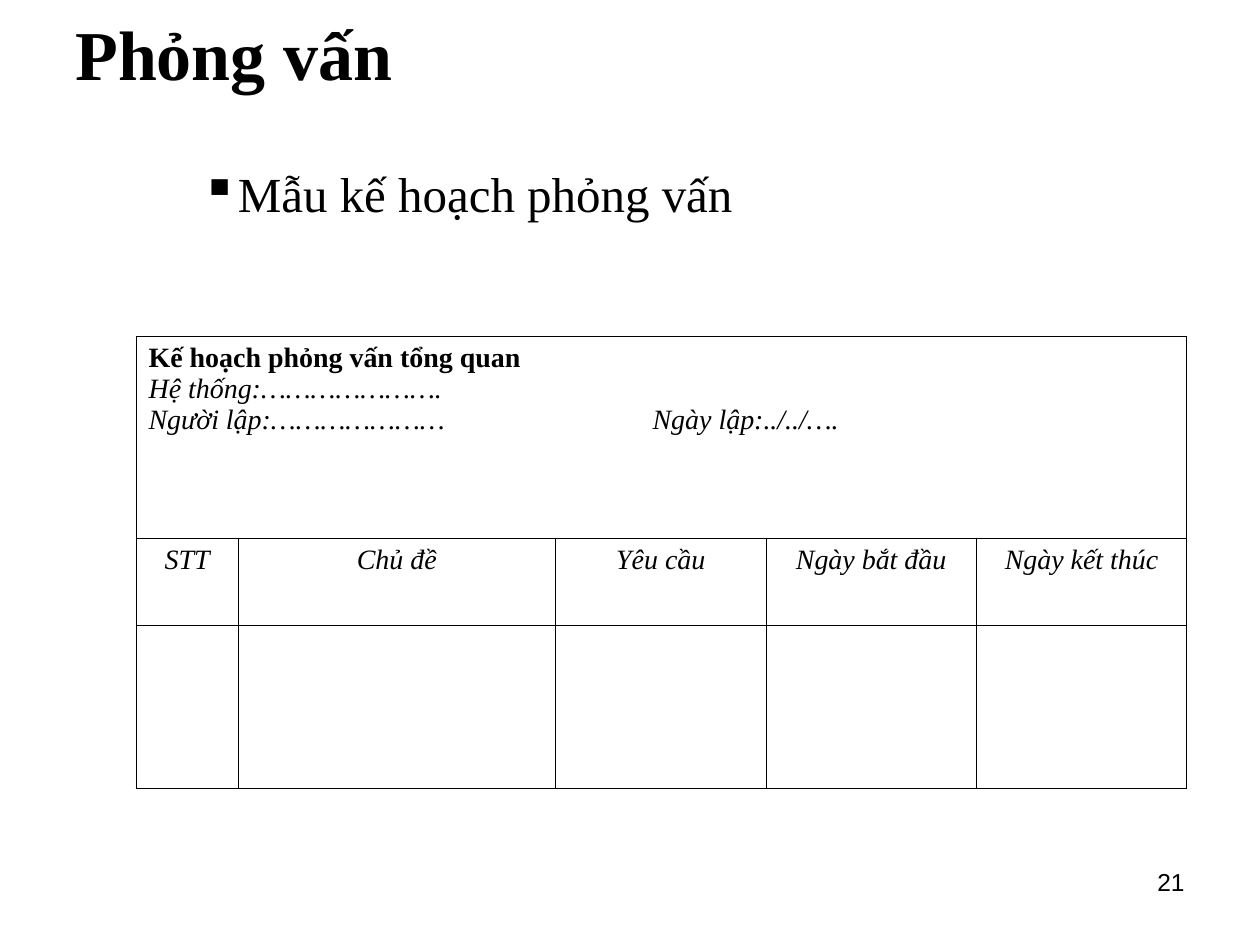
from lxml import etree
from pptx import Presentation
from pptx.dml.color import RGBColor
from pptx.enum.text import MSO_ANCHOR, PP_ALIGN
from pptx.oxml.ns import qn
from pptx.util import Inches, Pt

BLACK = RGBColor(0, 0, 0)
SERIF = "Times New Roman"
SANS = "Arial"
LEFT, CENTER, RIGHT, JUSTIFY = (
    PP_ALIGN.LEFT, PP_ALIGN.CENTER, PP_ALIGN.RIGHT, PP_ALIGN.JUSTIFY)
TOP, MIDDLE = MSO_ANCHOR.TOP, MSO_ANCHOR.MIDDLE

BORDER_WIDTH = Pt(0.45)
COLUMN_WIDTHS = (0.81, 2.52, 1.67, 1.67, 1.67)
ROW_HEIGHTS = (1.6, 0.69, 1.3)
PLAN_LINES = (
    "Kế hoạch phỏng vấn tổng quan",
    "Hệ thống:………………….",
    "Người lập:…………………\t\tNgày lập:../../….",
)
HEADINGS = ("STT", "Chủ đề", "Yêu cầu", "Ngày bắt đầu", "Ngày kết thúc")


def style_paragraph(paragraph, size, alignment, name=SERIF, bold=False, italic=False):
    paragraph.alignment = alignment
    font = paragraph.font
    font.name, font.size = name, Pt(size)
    font.bold, font.italic = bold, italic
    font.color.rgb = BLACK


def add_text(slide, text, left, top, width, height, anchor=TOP):
    """Add a one-paragraph text box and return its paragraph."""
    box = slide.shapes.add_textbox(
        Inches(left), Inches(top), Inches(width), Inches(height))
    frame = box.text_frame
    frame.word_wrap = True
    frame.vertical_anchor = anchor
    paragraph = frame.paragraphs[0]
    paragraph.text = text
    return paragraph


def add_bullet(paragraph, character, margin, indent):
    properties = paragraph._p.get_or_add_pPr()
    properties.set("marL", str(Inches(margin)))
    properties.set("indent", str(Inches(indent)))
    color = etree.SubElement(properties, qn("a:buClr"))
    etree.SubElement(color, qn("a:srgbClr"), val=str(BLACK))
    etree.SubElement(properties, qn("a:buChar"), char=character)


def add_tab_stops(paragraph, positions):
    tab_list = etree.SubElement(paragraph._p.get_or_add_pPr(), qn("a:tabLst"))
    for position in positions:
        etree.SubElement(tab_list, qn("a:tab"), pos=str(Inches(position)), algn="l")


def style_cell(cell):
    """Give the cell four thin black borders and no fill."""
    properties = cell._tc.get_or_add_tcPr()
    for side in ("a:lnL", "a:lnR", "a:lnT", "a:lnB"):
        line = etree.SubElement(properties, qn(side), w=str(BORDER_WIDTH))
        fill = etree.SubElement(line, qn("a:solidFill"))
        etree.SubElement(fill, qn("a:srgbClr"), val=str(BLACK))
    cell.fill.background()


def add_plan_table(slide):
    table = slide.shapes.add_table(
        len(ROW_HEIGHTS), len(COLUMN_WIDTHS), Inches(1.08), Inches(2.67),
        Inches(sum(COLUMN_WIDTHS)), Inches(sum(ROW_HEIGHTS))).table
    table.first_row = table.horz_banding = False
    for column, width in zip(table.columns, COLUMN_WIDTHS):
        column.width = Inches(width)
    for row, height in zip(table.rows, ROW_HEIGHTS):
        row.height = Inches(height)
    for cell in table.iter_cells():
        style_cell(cell)

    plan_cell = table.cell(0, 0)
    plan_cell.merge(table.cell(0, len(COLUMN_WIDTHS) - 1))
    plan_cell.text = "\n".join(PLAN_LINES)
    for index, paragraph in enumerate(plan_cell.text_frame.paragraphs):
        add_tab_stops(paragraph, (3, 4))
        style_paragraph(paragraph, 16, JUSTIFY, bold=index == 0, italic=index > 0)

    for index, heading in enumerate(HEADINGS):
        cell = table.cell(1, index)
        cell.text = heading
        style_paragraph(cell.text_frame.paragraphs[0], 16, CENTER, italic=True)


def main():
    presentation = Presentation()
    presentation.slide_width, presentation.slide_height = Inches(10), Inches(7.5)
    slide = presentation.slides.add_slide(presentation.slide_layouts[6])

    page_number = add_text(slide, "21", 7.17, 6.83, 2.33, 0.52)
    style_paragraph(page_number, 14, RIGHT, name=SANS)
    title = add_text(slide, "Phỏng vấn", 0.5, 0.3, 9, 0.24, MIDDLE)
    style_paragraph(title, 40, LEFT, bold=True)
    topic = add_text(slide, "Mẫu kế hoạch phỏng vấn", 0.5, 1.25, 9, 1.25)
    add_bullet(topic, "▪", 1.25, -0.25)
    style_paragraph(topic, 28, JUSTIFY)
    add_plan_table(slide)

    presentation.save("out.pptx")


if __name__ == "__main__":
    main()
